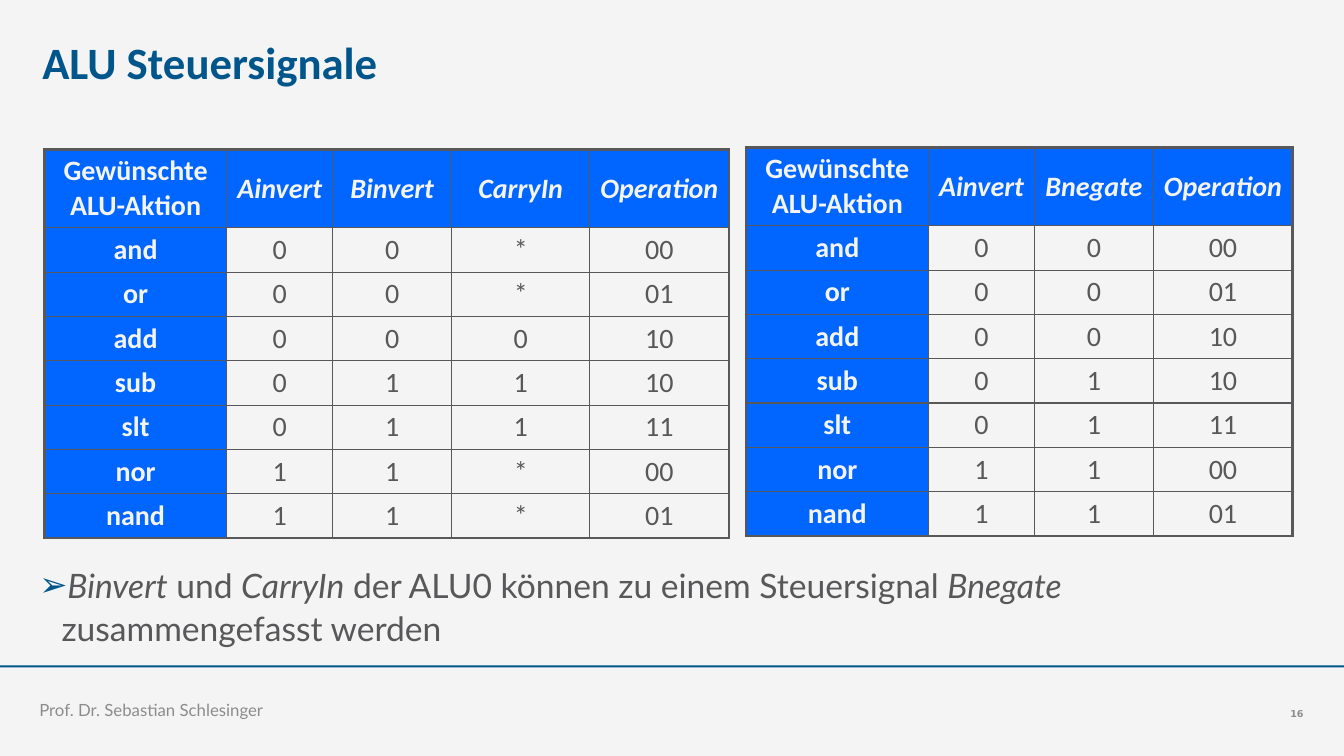
from lxml import etree
from pptx import Presentation
from pptx import util as u
from pptx.dml.color import RGBColor
from pptx.enum import shapes, text
from pptx.oxml import ns

NAVY = RGBColor(0x00, 0x56, 0x8A)
BLUE = RGBColor(0x00, 0x66, 0xFF)
PALE = RGBColor(0xF4, 0xF4, 0xF4)
DARK = RGBColor(0x58, 0x58, 0x5A)
GRAY = RGBColor(0x8C, 0x8C, 0x8C)

ACTIONS = ["and", "or", "add", "sub", "slt", "nor", "nand"]
AINVERT = ["0", "0", "0", "0", "0", "1", "1"]
BINVERT = ["0", "0", "0", "1", "1", "1", "1"]
CARRY_IN = ["*", "*", "0", "1", "1", "*", "*"]
OPERATION = ["00", "01", "10", "10", "11", "00", "01"]

ACTION_COLUMNS = {
    "Gewünschte ALU-Aktion": (1.81, ACTIONS),
    "Ainvert": (1.05, AINVERT),
}
FULL_SIGNALS = {
    **ACTION_COLUMNS,
    "Binvert": (1.18, BINVERT),
    "CarryIn": (1.37, CARRY_IN),
    "Operation": (1.38, OPERATION),
}
MERGED_SIGNALS = {
    **ACTION_COLUMNS,
    "Bnegate": (1.18, BINVERT),
    "Operation": (1.38, OPERATION),
}
SUMMARY = [
    ("Binvert", True),
    (" und ", False),
    ("CarryIn", True),
    (" der ALU0 können zu einem Steuersignal ", False),
    ("Bnegate ", True),
    ("zusammengefasst werden", False),
]


def set_values(target, values):
    for name, value in values.items():
        setattr(target, name, value)


def format_font(font, color, **values):
    set_values(font, values)
    font.color.rgb = color


def add_element(parent, tag, **attributes):
    return etree.SubElement(parent, ns.qn(tag), attributes)


def add_text_box(slide, left, top, width, height, anchor):
    box = slide.shapes.add_textbox(*map(u.Inches, (left, top, width, height)))
    frame = box.text_frame
    margins = dict.fromkeys(("margin_left", "margin_top", "margin_right", "margin_bottom"), 0)
    set_values(frame, {**margins, "word_wrap": True, "vertical_anchor": anchor})
    return frame.paragraphs[0]


def add_label(slide, area, content, anchor, alignment, color, **font):
    paragraph = add_text_box(slide, *area, anchor)
    set_values(paragraph, {"text": content, "alignment": alignment})
    format_font(paragraph.runs[0].font, color, **font)


def add_bullet(slide, area, parts):
    paragraph = add_text_box(slide, *area, text.MSO_ANCHOR.TOP)
    paragraph.line_spacing = 1.08
    properties = paragraph._p.get_or_add_pPr()
    indent = u.Inches(0.22)
    properties.set("marL", str(indent))
    properties.set("indent", str(-indent))
    add_element(add_element(properties, "a:buClr"), "a:srgbClr", val=str(NAVY))
    add_element(properties, "a:buFont", typeface="DejaVu Sans")
    add_element(properties, "a:buChar", char="➢")
    for content, italic in parts:
        run = paragraph.add_run()
        run.text = content
        format_font(run.font, DARK, name="Lato", size=u.Pt(24), italic=italic)


def add_borders(cell, thick_sides):
    properties = cell._tc.get_or_add_tcPr()
    for side in "LRTB":
        width = u.Pt(2.25 if side in thick_sides else 1)
        line = add_element(properties, f"a:ln{side}", w=str(width))
        add_element(add_element(line, "a:solidFill"), "a:srgbClr", val=str(DARK))


def fill_cell(cell, content, highlighted, italic, thick_sides):
    add_borders(cell, thick_sides)
    if highlighted:
        cell.fill.solid()
        cell.fill.fore_color.rgb = BLUE
    else:
        cell.fill.background()
    set_values(cell, {
        "text": content,
        "vertical_anchor": text.MSO_ANCHOR.MIDDLE,
        "margin_left": u.Inches(0.1),
        "margin_right": u.Inches(0.1),
        "margin_top": u.Inches(0.05),
        "margin_bottom": u.Inches(0.05),
    })
    paragraph = cell.text_frame.paragraphs[0]
    paragraph.alignment = text.PP_ALIGN.CENTER
    format_font(paragraph.runs[0].font, PALE if highlighted else DARK,
                name="Calibri", size=u.Pt(20), bold=highlighted, italic=italic)


def add_signal_table(slide, left, top, signals):
    row_heights = [0.78] + [0.44] * len(ACTIONS)
    widths = [width for width, values in signals.values()]
    size = len(row_heights), len(widths)
    bounds = left, top, sum(widths), sum(row_heights)
    table = slide.shapes.add_table(*size, *map(u.Inches, bounds)).table
    set_values(table, {"first_row": False, "horz_banding": False})
    for row, height in zip(table.rows, row_heights):
        row.height = u.Inches(height)
    last_row, last_column = size[0] - 1, size[1] - 1
    for column, (title, (width, values)) in enumerate(signals.items()):
        table.columns[column].width = u.Inches(width)
        for row, content in enumerate([title, *values]):
            edges = {"L": column == 0, "R": column == last_column,
                     "T": row == 0, "B": row == last_row}
            thick_sides = [side for side, outer in edges.items() if outer]
            fill_cell(table.cell(row, column), content, row == 0 or column == 0,
                      row == 0 and column > 0, thick_sides)


def add_footer_rule(slide):
    rule = slide.shapes.add_shape(shapes.MSO_SHAPE.RECTANGLE, u.Inches(0), u.Inches(6.6),
                                  u.Inches(13.33), u.Inches(0.02))
    rule.shadow.inherit = False
    rule.fill.solid()
    rule.fill.fore_color.rgb = NAVY
    rule.line.fill.background()


def main():
    presentation = Presentation()
    set_values(presentation, {"slide_width": u.Inches(13.33), "slide_height": u.Inches(7.5)})
    slide = presentation.slides.add_slide(presentation.slide_layouts[6])
    slide.background.fill.solid()
    slide.background.fill.fore_color.rgb = PALE

    add_footer_rule(slide)
    add_label(slide, (0.42, 0.34, 8.33, 0.63), "ALU Steuersignale", text.MSO_ANCHOR.TOP,
              text.PP_ALIGN.LEFT, NAVY, name="Calibri", size=u.Pt(32), bold=True)
    add_bullet(slide, (0.39, 5.57, 12.55, 0.87), SUMMARY)
    add_label(slide, (0.39, 6.75, 9.2, 0.39), "Prof. Dr. Sebastian Schlesinger",
              text.MSO_ANCHOR.BOTTOM, text.PP_ALIGN.LEFT, GRAY, name="Lato", size=u.Pt(12))
    add_label(slide, (12.03, 6.75, 0.9, 0.39), "16", text.MSO_ANCHOR.BOTTOM,
              text.PP_ALIGN.RIGHT, GRAY, name="DejaVu Sans", size=u.Pt(6.8), bold=True)
    add_signal_table(slide, 0.44, 1.48, FULL_SIGNALS)
    add_signal_table(slide, 7.4, 1.46, MERGED_SIGNALS)
    presentation.save("out.pptx")


if __name__ == "__main__":
    main()
